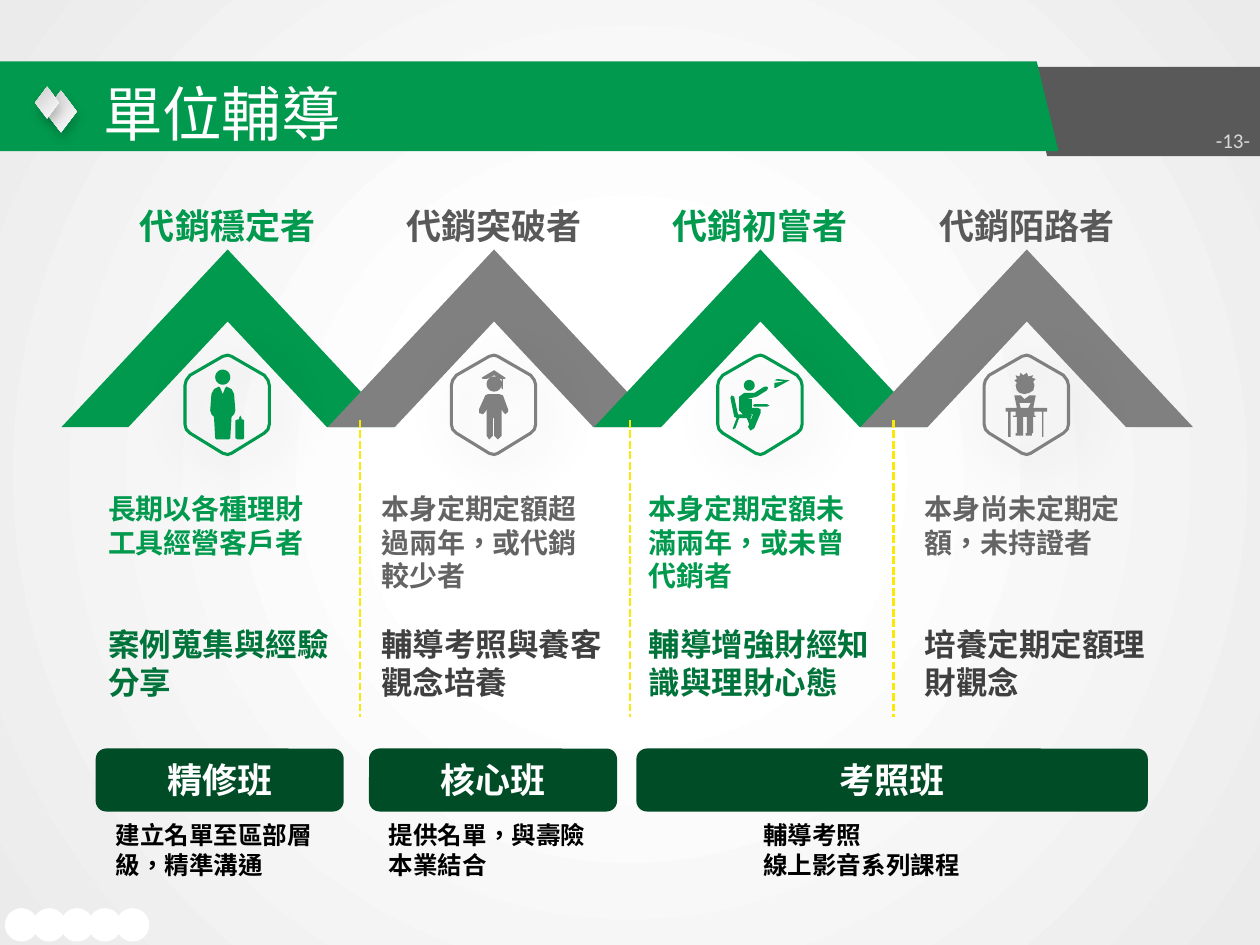
from math import cos, pi, sin

from lxml.etree import SubElement
from pptx import Presentation
from pptx.dml.color import RGBColor
from pptx.enum.dml import MSO_LINE_DASH_STYLE as Dash
from pptx.enum.shapes import MSO_CONNECTOR as Connector, MSO_SHAPE as Preset
from pptx.enum.text import MSO_ANCHOR as Anchor, PP_ALIGN as Align
from pptx.oxml.ns import qn
from pptx.util import Cm, Pt

GREEN = RGBColor(0x00, 0x99, 0x4D)
DEEP_GREEN = RGBColor(0x00, 0x73, 0x3A)
DARK_GREEN = RGBColor(0x00, 0x4C, 0x27)
GRAY = RGBColor(0x80, 0x80, 0x80)
TEXT_GRAY = RGBColor(0x64, 0x64, 0x64)
DARK_GRAY = RGBColor(0x59, 0x59, 0x59)
CHARCOAL = RGBColor(0x40, 0x40, 0x40)
SILVER = RGBColor(0xCC, 0xCC, 0xCC)
PALE = RGBColor(0xD9, 0xD9, 0xD9)
MIST = RGBColor(0xEB, 0xEB, 0xEB)
WHITE = RGBColor(0xFF, 0xFF, 0xFF)
BLACK = RGBColor(0, 0, 0)
YELLOW = RGBColor(0xFA, 0xE8, 0x05)
SANS = "Noto Sans CJK SC"


def circle(x, y, radius):
    """Return the points of a round contour."""
    return [(x + radius * cos(i * pi / 12), y + radius * sin(i * pi / 12)) for i in range(24)]


HEXAGON = [[(30, 1), (34, 0), (37, 1), (63, 16), (66, 20), (67, 24), (67, 55), (66, 59), (63, 62),
            (37, 78), (34, 79), (30, 78), (4, 62), (1, 59), (0, 55), (0, 24), (1, 20), (4, 16)]]
TRAVELLER = [
    circle(30, 17.5, 6),
    [(27, 25), (28, 26), (30, 31), (32, 26), (33, 25), (37, 27), (39, 31), (40, 44), (39, 47), (37, 49),
     (36, 66), (35, 67), (25, 67), (24, 66), (23, 49), (21, 47), (20, 44), (21, 31), (23, 27)],
    [(44, 48), (45, 50), (45, 51), (46, 51), (47, 52), (47, 66), (46, 67), (42, 67), (40, 66),
     (40, 52), (42, 51), (43, 51), (43, 50)]]
GRADUATE = [
    circle(34, 23, 6),
    [(34, 12), (43, 18), (43, 19), (41, 19), (41, 27), (40, 27), (40, 19), (39, 19), (34, 16),
     (28, 19), (25, 19), (24, 18)],
    [(29, 31), (38, 31), (41, 32), (45, 43), (45, 45), (43, 47), (41, 45), (40, 43), (40, 64), (37, 67),
     (34, 64), (34, 50), (33, 50), (33, 64), (30, 67), (28, 64), (28, 43), (27, 45), (25, 47),
     (22, 46), (22, 43), (27, 32)]]
THROWER = [
    circle(25, 24, 4.3),
    [(39, 25), (40, 26), (39, 28), (31, 33), (23, 35), (27, 35), (27, 42), (32, 42), (34, 43), (34, 46),
     (29, 58), (26, 60), (24, 57), (25, 55), (23, 50), (17, 50), (14, 58), (12, 59), (12, 58), (15, 50),
     (13, 49), (10, 34), (11, 32), (13, 33), (16, 47), (20, 47), (17, 44), (17, 33), (21, 30), (29, 30),
     (37, 25)],
    [(29, 39), (39, 39), (41, 40), (39, 41), (29, 41), (28, 40)],
    [(28, 47), (26, 47), (27, 48), (26, 50), (26, 52)],
    [(47, 19), (57, 20), (46, 26), (45, 26), (45, 22), (53, 21), (45, 20)]]
PUPIL = [
    [(34, 14), (35, 17), (39, 16), (38, 18), (41, 19), (39, 21), (40, 24), (39, 28), (36, 30), (32, 31),
     (28, 30), (26, 28), (25, 24), (26, 22), (24, 20), (26, 19), (25, 16), (28, 17), (29, 14), (31, 16)],
    [(24, 32), (29, 32), (32, 35), (36, 32), (41, 32), (39, 42), (50, 42), (50, 45), (47, 45), (47, 65),
     (46, 65), (46, 45), (40, 45), (40, 48), (41, 48), (41, 49), (39, 49), (39, 62), (34, 62), (34, 49),
     (31, 49), (31, 62), (26, 62), (26, 49), (23, 49), (23, 48), (25, 48), (25, 45), (21, 45), (21, 65),
     (19, 65), (19, 45), (17, 45), (17, 42), (26, 42)],
    [(28, 38), (29, 42), (35, 42), (37, 38)],
    [(33, 62), (38, 62), (38, 64), (33, 64)],
    [(25, 62), (31, 62), (31, 64), (25, 64)]]

STAGES = [
    ("代銷穩定者", "長期以各種理財工具經營客戶者", "案例蒐集與經驗分享", TRAVELLER, 1.93),
    ("代銷突破者", "本身定期定額超過兩年，或代銷較少者", "輔導考照與養客觀念培養", GRADUATE, 7.44),
    ("代銷初嘗者", "本身定期定額未滿兩年，或未曾代銷者", "輔導增強財經知識與理財心態", THROWER, 12.83),
    ("代銷陌路者", "本身尚未定期定額，未持證者", "培養定期定額理財觀念", PUPIL, 18.39)]
PALETTES = [(GREEN, GREEN, GREEN, DEEP_GREEN), (GRAY, DARK_GRAY, TEXT_GRAY, CHARCOAL)]
CLASSES = [
    ("精修班", "建立名單至區部層級，精準溝通", 1.93, 5, 4.7),
    ("核心班", "提供名單，與壽險本業結合", 7.44, 5, 4.7),
    ("考照班", "輔導考照\n線上影音系列課程", 12.83, 10.31, 5.69)]


def set_format(target, values):
    """Set each named attribute on the target."""
    for name, value in values.items():
        setattr(target, name, value)


def paint(shape, fill=None, line=None):
    """Give a shape a flat fill and outline without shadow."""
    shape.shadow.inherit = False
    for part, color in ((shape.fill, fill), (shape.line.fill, line)):
        if color is None:
            part.background()
        else:
            part.solid()
            part.fore_color.rgb = color
    if line is not None:
        shape.line.width = Pt(1.75)


def add_shadow(shape, alpha, blur, distance, angle):
    """Add a soft outer shadow to a shape."""
    effects = shape._element.spPr.find(qn("a:effectLst"))
    shadow = SubElement(effects, qn("a:outerShdw"), blurRad=str(Pt(blur)), dist=str(Pt(distance)),
                        dir=str(angle * 60000), algn="tl", rotWithShape="0")
    color = SubElement(shadow, qn("a:srgbClr"), val="000000")
    SubElement(color, qn("a:alpha"), val=str(alpha * 1000))


def set_stops(fill, first, last):
    """Turn a fill into a gradient with two (position, colour) stops."""
    fill.gradient()
    for stop, (position, color) in zip(fill.gradient_stops, (first, last)):
        stop.position = position
        stop.color.rgb = color


def add_outline(slide, left, top, unit, contours):
    """Draw closed contours as one freeform, measured in units from its box."""
    builder = None
    for contour in contours:
        points = [(x * unit, y * unit) for x, y in contour]
        if builder is None:
            builder = slide.shapes.build_freeform(*points[0], scale=1.0)
        else:
            builder.move_to(*points[0])
        builder.add_line_segments(points[1:], close=True)
    return builder.convert_to_shape(Cm(left), Cm(top))


def write(shape, text, size, color, bold=True, font=SANS, align=Align.LEFT, spacing=None, **frame_values):
    """Write formatted text into a shape."""
    frame = shape.text_frame
    frame.text = text
    set_format(frame, {"word_wrap": True, "vertical_anchor": Anchor.TOP, **frame_values})
    for paragraph in frame.paragraphs:
        set_format(paragraph, {"alignment": align, "line_spacing": spacing})
        for run in paragraph.runs:
            set_format(run.font, {"name": font, "size": Pt(size), "bold": bold})
            run.font.color.rgb = color
            properties = run._r.get_or_add_rPr()
            properties.set("lang", "zh-TW")
            SubElement(properties, qn("a:ea"), typeface=SANS if font == "Arial" else font)


def add_text(slide, box, text, size, color, **values):
    """Add a text box at a box given in centimetres."""
    write(slide.shapes.add_textbox(*map(Cm, box)), text, size, color, **values)


def add_body(slide, box, text, size, color):
    """Add wrapped text with tight line spacing."""
    add_text(slide, box, text, size, color, spacing=Pt(size * 1.2), margin_top=Cm(0.18))


def add_banner(slide, top):
    """Draw the title band with its diamonds, title and page number."""
    bars = [(0.11, DARK_GRAY, [(20.7, 0), (25.4, 0), (25.4, 1.8), (21.11, 1.8)]),
            (0, GREEN, [(0, 0), (20.9, 0), (21.34, 1.81), (0, 1.81)])]
    for offset, color, points in bars:
        left = points[0][0]
        contour = [(x - left, y) for x, y in points]
        paint(add_outline(slide, left, top + offset, Cm(1), [contour]), color)
    for left, offset, width, height in ((0.91, 0.59, 0.64, 0.84), (0.71, 0.51, 0.48, 0.64)):
        diamond = slide.shapes.add_shape(Preset.DIAMOND, Cm(left), Cm(top + offset), Cm(width), Cm(height))
        paint(diamond)
        set_stops(diamond.fill, (0, WHITE), (1, SILVER))
        diamond.fill.gradient_angle = 135
        add_shadow(diamond, 18, 6, 4, 77)
    add_text(slide, (1.83, top + 0.26, 19.05, 1.55), "單位輔導", 34, WHITE, bold=False,
             font="Noto Sans CJK TC", vertical_anchor=Anchor.MIDDLE)
    add_text(slide, (24.26, top + 1.22, 1.14, 0.71), "-13-", 12, PALE, bold=False, font="Calibri",
             align=Align.RIGHT, vertical_anchor=Anchor.BOTTOM, word_wrap=False,
             margin_left=Cm(0.2), margin_right=Cm(0.2), margin_top=Cm(0.1), margin_bottom=Cm(0.1))


def add_stage(slide, left, top, stage, palette):
    """Draw one stage: heading, chevron, icon and two texts."""
    heading, description, advice, icon, text_left = stage
    main, heading_color, description_color, advice_color = palette
    chevron = [(3.35, 0), (6.7, 3.58), (5.35, 3.58), (3.35, 1.45), (1.35, 3.58), (0, 3.58)]
    paint(add_outline(slide, left, top, Cm(1), [chevron]), main)
    unit = Cm(1.7) / 67
    frame = add_outline(slide, left + 2.49, top + 2.13, unit, HEXAGON)
    paint(frame, line=main)
    add_shadow(frame, 30, 30, 8, 45)
    paint(add_outline(slide, left + 2.49, top + 2.13, unit, icon), main)
    add_text(slide, (left + 1.32, top - 1.04, 4.06, 1.12), heading, 20, heading_color,
             align=Align.CENTER, vertical_anchor=Anchor.MIDDLE, word_wrap=False)
    add_body(slide, (text_left, top + 4.7, 5, 2.31), description, 16, description_color)
    add_body(slide, (text_left, top + 7.39, 5, 1.8), advice, 18, advice_color)


def add_separator(slide, x, top, bottom):
    """Draw a dashed vertical line between stages."""
    line = slide.shapes.add_connector(Connector.STRAIGHT, Cm(x), Cm(top), Cm(x), Cm(bottom))
    line.line.color.rgb = YELLOW
    set_format(line.line, {"width": Pt(1.5), "dash_style": Dash.SQUARE_DOT})
    SubElement(line._element.spPr, qn("a:effectLst"))


def add_class(slide, top, title, note, left, width, note_width):
    """Draw a class bar with its note centred beneath."""
    bar = slide.shapes.add_shape(Preset.ROUNDED_RECTANGLE, Cm(left), Cm(top), Cm(width), Cm(1.27))
    paint(bar, DARK_GREEN)
    write(bar, title, 20, WHITE, font="Arial", align=Align.CENTER, vertical_anchor=Anchor.MIDDLE)
    add_body(slide, (left + (width - note_width) / 2, top + 1.27, note_width, 1.45), note, 14, BLACK)


def add_dots(slide, left, top):
    """Draw the row of white dots in the corner."""
    for i in range(5):
        dot = slide.shapes.add_shape(Preset.OVAL, Cm(left + 0.56 * i), Cm(top), Cm(0.61), Cm(0.61))
        paint(dot, WHITE, WHITE)


def set_background(slide):
    """Give the slide a round white glow."""
    set_stops(slide.background.fill, (0.28, WHITE), (1, MIST))
    gradient = next(slide._element.iter(qn("a:gradFill")))
    gradient.remove(gradient.find(qn("a:lin")))
    glow = SubElement(gradient, qn("a:path"), {"path": "circle"})
    SubElement(glow, qn("a:fillToRect"), dict.fromkeys("ltrb", "50000"))


def main():
    """Build and save the slide."""
    presentation = Presentation()
    set_format(presentation, {"slide_width": Cm(25.4), "slide_height": Cm(19.05)})
    slide = presentation.slides.add_slide(presentation.slide_layouts[6])
    set_background(slide)
    add_banner(slide, 1.24)
    add_dots(slide, 0.13, 18.34)
    for i, stage in enumerate(STAGES):
        add_stage(slide, 1.24 + 5.37 * i, 5.03, stage, PALETTES[i % 2])
    for x in (7.26, 12.7, 18.01):
        add_separator(slide, x, 8.46, 14.45)
    for item in CLASSES:
        add_class(slide, 15.09, *item)
    presentation.save("out.pptx")


if __name__ == "__main__":
    main()
